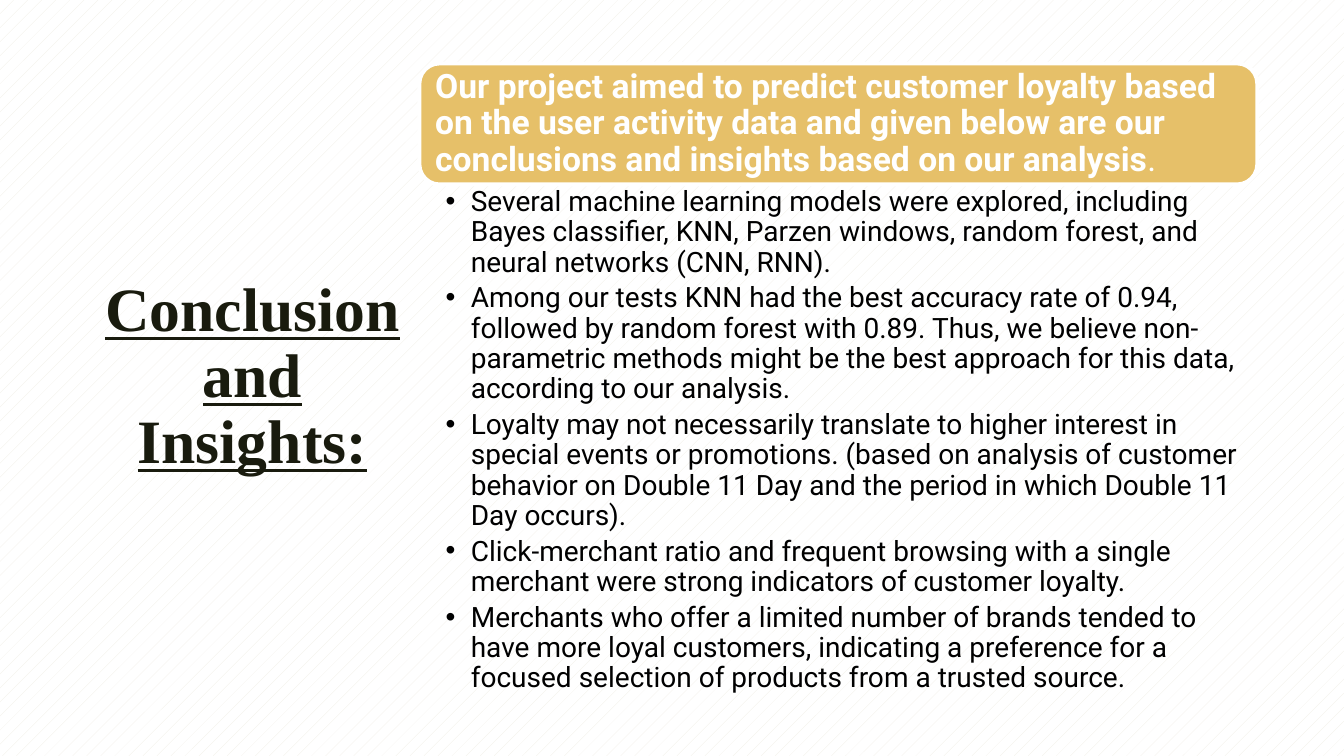
"""Builds the conclusion slide: a title at left, a banner and bullet list at right."""
from dataclasses import dataclass

from pptx import Presentation
from pptx.dml.color import RGBColor
from pptx.enum import dml, shapes, text
from pptx.util import Inches, Pt

TITLE = "Conclusion and Insights:"
LEAD = ("Our project aimed to predict customer loyalty based on the user activity data "
        "and given below are our conclusions and insights based on our analysis")
POINTS = [
    "Several machine learning models were explored, including Bayes classifier, KNN, "
    "Parzen windows, random forest, and neural networks (CNN, RNN).",
    "Among our tests KNN had the best accuracy rate of 0.94, followed by random forest "
    "with 0.89. Thus, we believe non-parametric methods might be the best approach for "
    "this data, according to our analysis.",
    "Loyalty may not necessarily translate to higher interest in special events or "
    "promotions. (based on analysis of customer behavior on Double 11 Day and the period "
    "in which Double 11 Day occurs).",
    "Click-merchant ratio and frequent browsing with a single merchant were strong "
    "indicators of customer loyalty.",
    "Merchants who offer a limited number of brands tended to have more loyal customers, "
    "indicating a preference for a focused selection of products from a trusted source.",
]


@dataclass(frozen=True)
class Theme:
    ink: str = "191B0E"
    gold: str = "E6C069"
    white: str = "FFFFFF"
    black: str = "000000"
    stripe: str = "EFEDE3"
    serif: str = "Times New Roman"
    sans: str = "Roboto"
    head: int = 44
    lead: int = 24
    body: int = 20


LOOK = Theme()
PAGE = (13.33, 7.5)
LEFT, TOP, WIDE = 4.16, 0.63, 8.31
BAND, LIST = 1.2, 5.49
HANG = Inches(0.25)


def place(shape, left, top, width, height):
    shape.left, shape.top = Inches(left), Inches(top)
    shape.width, shape.height = Inches(width), Inches(height)


def frame(shape, anchor, left, top, right):
    box = shape.text_frame
    box.word_wrap = True
    box.auto_size = text.MSO_AUTO_SIZE.NONE
    box.vertical_anchor = anchor
    box.margin_left, box.margin_right = Inches(left), Inches(right)
    box.margin_top = box.margin_bottom = Inches(top)
    return box


def style(para, name, size, color, bold, lines=0.9, after=0):
    font = para.font
    font.name, font.size, font.bold = name, Pt(size), bold
    font.color.rgb = RGBColor.from_string(color)
    para.line_spacing = lines
    para.space_before, para.space_after = Pt(0), Pt(after)


def weave(fill):
    fill.patterned()
    fill.pattern = dml.MSO_PATTERN.PERCENT_5
    fill.fore_color.rgb = RGBColor.from_string(LOOK.stripe)
    fill.back_color.rgb = RGBColor.from_string(LOOK.white)


def add_panel(slide):
    panel = slide.shapes.add_shape(
        shapes.MSO_SHAPE.RECTANGLE, 0, 0, *map(Inches, PAGE))
    panel.shadow.inherit = False
    panel.line.fill.background()
    weave(panel.fill)
    slide.shapes.title._element.addprevious(panel._element)


def add_title(slide):
    shape = slide.shapes.title
    place(shape, 0.7, 0.7, 3.61, 6.1)
    para = frame(shape, text.MSO_ANCHOR.MIDDLE, 0.1, 0.05, 0.1).paragraphs[0]
    para.text = TITLE
    para.alignment = text.PP_ALIGN.CENTER
    style(para, LOOK.serif, LOOK.head, LOOK.ink, True, 0.89)
    para.font.underline = True


def add_band(slide):
    kind = shapes.MSO_SHAPE.ROUNDED_RECTANGLE
    band = slide.shapes.add_shape(
        kind, Inches(LEFT), Inches(TOP), Inches(WIDE), Inches(BAND))
    band.shadow.inherit = False
    band.fill.solid()
    band.fill.fore_color.rgb = RGBColor.from_string(LOOK.gold)
    band.line.color.rgb = RGBColor.from_string(LOOK.white)
    band.line.width = Pt(2.75)
    para = frame(band, text.MSO_ANCHOR.MIDDLE, 0.1, 0.1, 0.1).paragraphs[0]
    para.alignment = text.PP_ALIGN.LEFT
    style(para, LOOK.sans, LOOK.lead, LOOK.white, True)
    para.add_run().text = LEAD
    stop = para.add_run()
    stop.text = "."
    stop.font.bold = False


def add_list(slide):
    shape = slide.placeholders[1]
    place(shape, LEFT, TOP + BAND, WIDE, LIST)
    box = frame(shape, text.MSO_ANCHOR.TOP, 0.26, 0.03, 0.16)
    box.text = "\n".join(POINTS)
    for para in box.paragraphs:
        style(para, LOOK.sans, LOOK.body, LOOK.black, False, after=4)
        props = para._p.get_or_add_pPr()
        props.set("marL", str(HANG))
        props.set("indent", str(-HANG))


def main():
    deck = Presentation()
    deck.slide_width, deck.slide_height = map(Inches, PAGE)
    slide = deck.slides.add_slide(deck.slide_layouts[1])
    weave(slide.background.fill)
    add_panel(slide)
    add_title(slide)
    add_band(slide)
    add_list(slide)
    deck.save("out.pptx")


if __name__ == "__main__":
    main()
